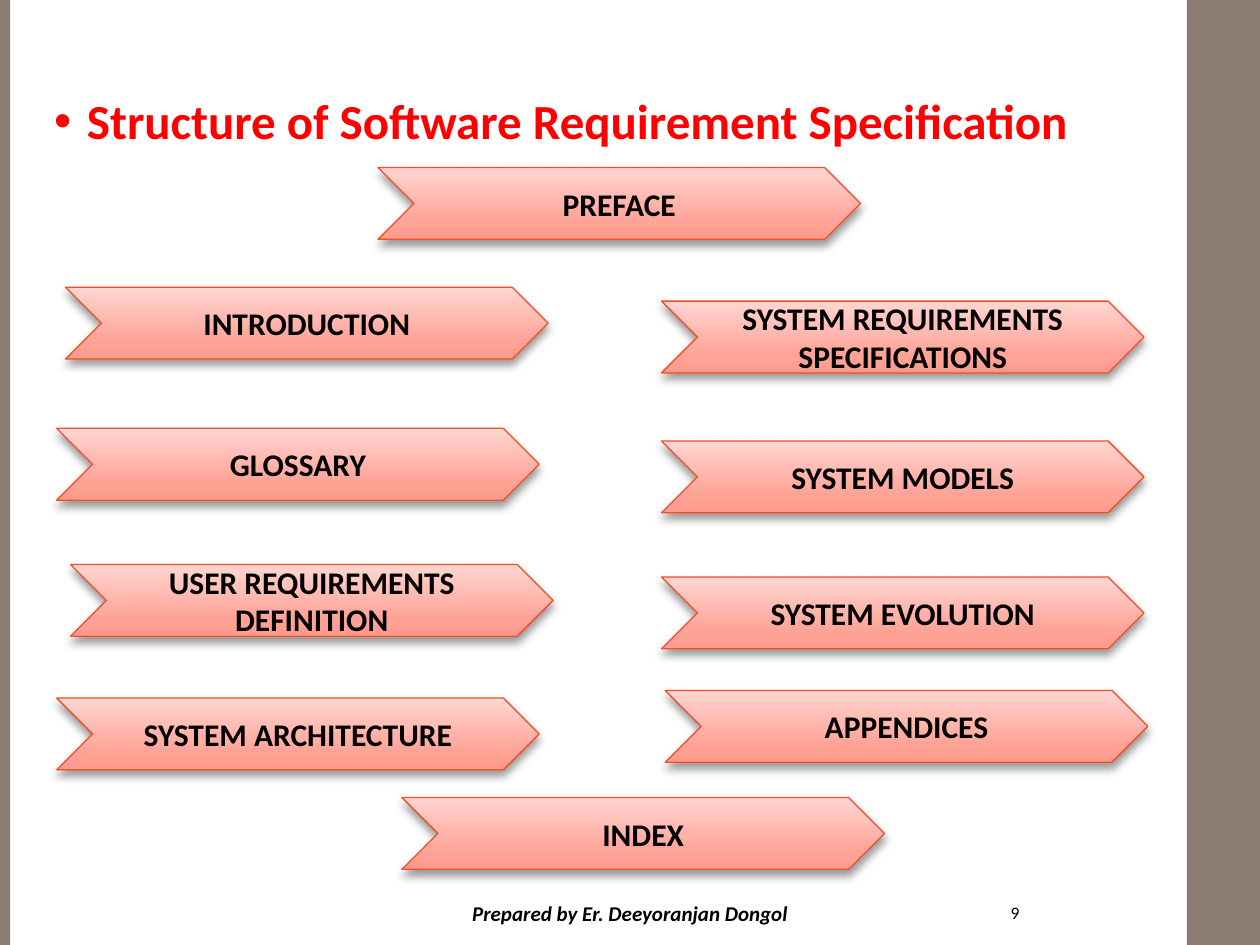
from lxml.etree import SubElement as Sub
from pptx import Presentation
from pptx.dml.color import RGBColor as RGB
from pptx.enum.shapes import MSO_SHAPE as Shape
from pptx.enum.text import MSO_ANCHOR as Anchor, MSO_AUTO_SIZE as Auto, PP_ALIGN as Align
from pptx.oxml import parse_xml
from pptx.oxml.ns import nsdecls, qn
from pptx.util import Inches, Pt

COLORS = {"side": "8C7B70", "title": "FF0000", "text": "000000", "edge": "F34E27"}
STOPS = ((0, "FF9A8C"), (25, "FFA397"), (100, "FFD6D2"))
FONT = "Calibri"
ARROW_SIZE = (3.83, 0.57)
SECTIONS = (
    ("SYSTEM REQUIREMENTS SPECIFICATIONS", 5.25, 2.39),
    ("SYSTEM MODELS", 5.25, 3.5),
    ("SYSTEM EVOLUTION", 5.25, 4.58),
    ("PREFACE", 3, 1.33),
    ("INTRODUCTION", 0.52, 2.28),
    ("GLOSSARY", 0.45, 3.4),
    ("USER REQUIREMENTS DEFINITION", 0.56, 4.48),
    ("SYSTEM ARCHITECTURE", 0.45, 5.54),
    ("APPENDICES", 5.28, 5.48),
    ("INDEX", 3.19, 6.33),
)


def write(shape, text, size, align, color="text", bold=False, italic=False):
    frame = shape.text_frame
    frame.text = text
    frame.word_wrap = True
    frame.vertical_anchor = Anchor.MIDDLE
    para = frame.paragraphs[0]
    para.alignment = align
    font = para.runs[0].font
    font.name, font.size = FONT, Pt(size)
    font.bold, font.italic = bold, italic
    font.color.rgb = RGB.from_string(COLORS[color])
    return para


def add_bar(slide, left, width):
    bar = slide.shapes.add_shape(
        Shape.RECTANGLE, Inches(left), 0, Inches(width), Inches(7.5))
    bar.shadow.inherit = False
    bar.fill.solid()
    bar.fill.fore_color.rgb = RGB.from_string(COLORS["side"])
    bar.line.fill.background()


def set_title(slide, text):
    title = slide.shapes.title
    title.left, title.top = Inches(0.33), Inches(0.67)
    title.width, title.height = Inches(8.92), Inches(0.75)
    para = write(title, text, 28, Align.JUSTIFY, "title", bold=True)
    title.text_frame.vertical_anchor = Anchor.TOP
    title.text_frame.auto_size = Auto.NONE
    para.space_before = Pt(5.6)
    props = para._p.get_or_add_pPr()
    props.set("marL", str(Inches(0.26)))
    props.set("indent", str(-Inches(0.26)))
    Sub(props, qn("a:buFont"), typeface="Arial")
    Sub(props, qn("a:buChar"), char="•")


def add_note(slide, text, left, width, size, align, **style):
    box = slide.shapes.add_textbox(
        Inches(left), Inches(7.08), Inches(width), Inches(0.33))
    write(box, text, size, align, **style)


def shade(shape):
    """Give the shape its vertical gradient and soft drop shadow."""
    shape.fill.gradient()
    grad = shape._element.spPr.find(qn("a:gradFill"))
    stops = "".join(
        f'<a:gs pos="{pos * 1000}"><a:srgbClr val="{color}"/></a:gs>'
        for pos, color in STOPS)
    grad.getparent().replace(grad, parse_xml(
        f'<a:gradFill {nsdecls("a")} rotWithShape="1"><a:gsLst>{stops}</a:gsLst>'
        '<a:lin ang="16200000" scaled="0"/></a:gradFill>'))
    shape.shadow.inherit = False
    effects = shape._element.spPr.find(qn("a:effectLst"))
    shadow = Sub(effects, qn("a:outerShdw"), blurRad=str(Pt(5.2)),
                 dist=str(Pt(3)), dir="5400000", rotWithShape="0")
    tint = Sub(shadow, qn("a:srgbClr"), val="000000")
    Sub(tint, qn("a:alpha"), val="40000")


def add_arrow(slide, text, left, top):
    arrow = slide.shapes.add_shape(
        Shape.CHEVRON, *(Inches(n) for n in (left, top, *ARROW_SIZE)))
    arrow.line.color.rgb = RGB.from_string(COLORS["edge"])
    arrow.line.width = Pt(0.75)
    shade(arrow)
    write(arrow, text, 18, Align.CENTER, bold=True)


def main():
    deck = Presentation()
    deck.slide_width, deck.slide_height = Inches(10), Inches(7.5)
    slide = deck.slides.add_slide(deck.slide_layouts[5])
    add_bar(slide, 9.42, 0.58)
    add_bar(slide, 0, 0.08)
    set_title(slide, "Structure of Software Requirement Specification")
    add_note(slide, "Prepared by Er. Deeyoranjan Dongol", 2.96, 4.08, 12,
             Align.CENTER, bold=True, italic=True)
    add_note(slide, "9", 7.11, 1.08, 10, Align.RIGHT)
    for section in SECTIONS:
        add_arrow(slide, *section)
    deck.save("out.pptx")


if __name__ == "__main__":
    main()
